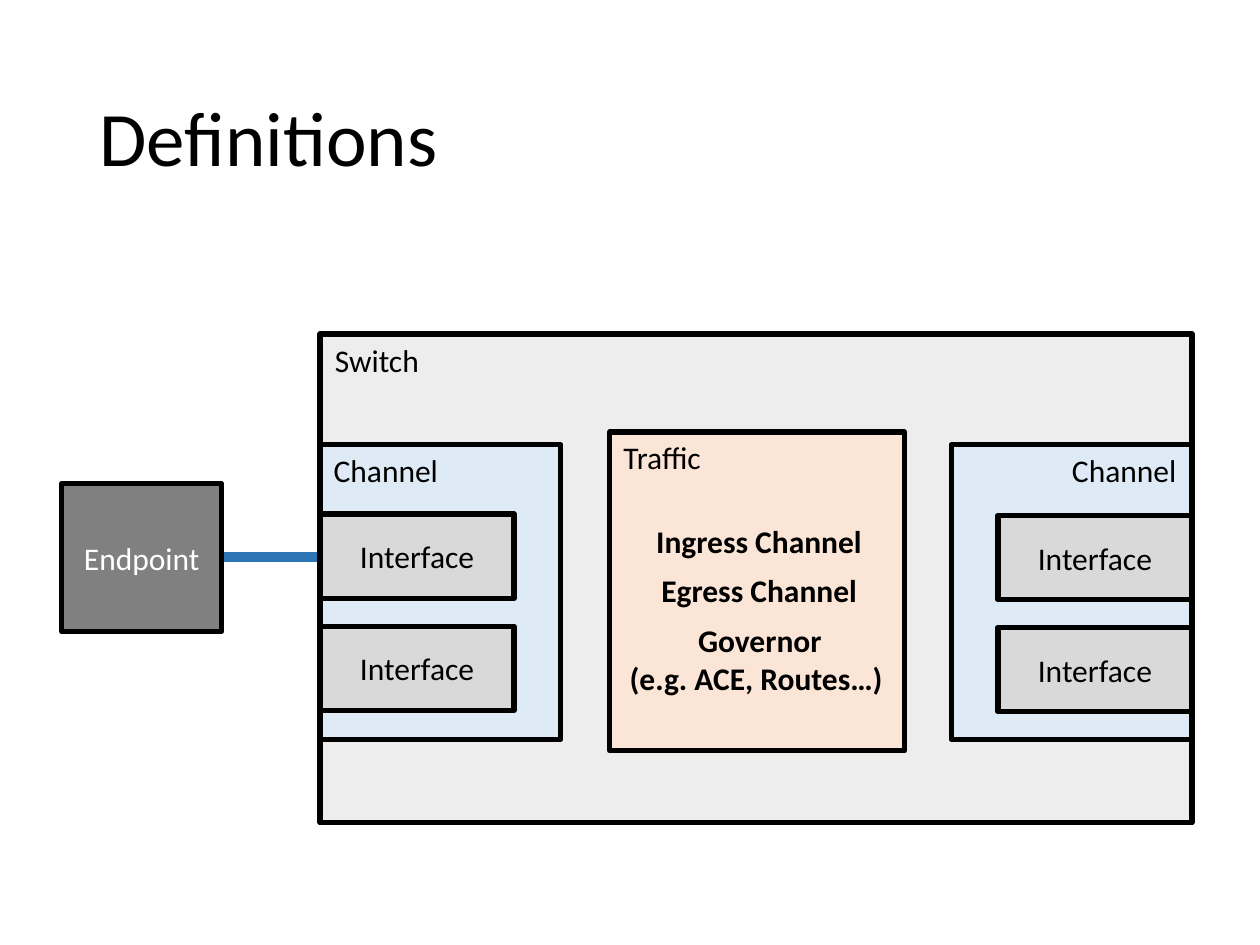
"""Build the slide that defines the parts of a switch."""
from dataclasses import dataclass

from lxml.etree import SubElement
from pptx import Presentation
from pptx.dml.color import RGBColor as RGB
from pptx.enum.shapes import MSO_CONNECTOR as Link, MSO_SHAPE as Kind
from pptx.enum.text import MSO_ANCHOR as Anchor, MSO_AUTO_SIZE as Auto, PP_ALIGN as Align
from pptx.oxml.ns import qn
from pptx.util import Inches, Pt

INK = {
    "black": "000000", "white": "FFFFFF", "link": "2E75B6", "switch": "EDEDED",
    "channel": "DEEBF7", "port": "D9D9D9", "traffic": "FBE5D6", "end": "808080",
}


@dataclass
class Box:
    left: float
    top: float
    width: float
    height: float
    fill: str
    text: str = ""
    ink: str = "black"


@dataclass
class Label:
    left: float
    top: float
    width: float
    text: str
    bold: bool = False
    height: float = 0.4
    align: Align = Align.LEFT


def tint(name: str) -> RGB:
    return RGB.from_string(INK[name])


def style(frame, text: str, ink: str, align: Align, size: int = 18, bold: bool = False) -> None:
    frame.text = text
    for para in frame.paragraphs:
        para.alignment = align
        para.font.name = "Calibri"
        para.font.size = Pt(size)
        para.font.bold = bold
        para.font.color.rgb = tint(ink)


def draw_box(shapes, box: Box) -> None:
    rect = shapes.add_shape(Kind.RECTANGLE, Inches(box.left), Inches(box.top),
                            Inches(box.width), Inches(box.height))
    rect.shadow.inherit = False
    rect.fill.solid()
    rect.fill.fore_color.rgb = tint(box.fill)
    rect.line.color.rgb = tint("black")
    rect.line.width = Pt(3)
    if box.text:
        rect.text_frame.vertical_anchor = Anchor.MIDDLE
        style(rect.text_frame, box.text, box.ink, Align.CENTER)


def draw_label(shapes, label: Label) -> None:
    area = shapes.add_textbox(Inches(label.left), Inches(label.top),
                              Inches(label.width), Inches(label.height))
    frame = area.text_frame
    frame.word_wrap = False
    frame.auto_size = Auto.SHAPE_TO_FIT_TEXT
    style(frame, label.text, "black", label.align, bold=label.bold)


def draw_channel(shapes, left: float, port: float, top: float, name: float) -> None:
    group = shapes.add_group_shape().shapes
    draw_box(group, Box(left, 3.53, 1.91, 2.34, "channel"))
    for row in range(2):
        draw_box(group, Box(port, top + row * 0.89, 1.54, 0.67, "port", "Interface"))
    draw_label(group, Label(name, 3.53, 1.04, "Channel"))


def draw_traffic(shapes) -> None:
    group = shapes.add_group_shape().shapes
    draw_box(group, Box(4.84, 3.43, 2.34, 2.53, "traffic"))
    for label in (
        Label(4.85, 3.43, 0.83, "Traffic"),
        Label(5.11, 4.09, 1.84, "Ingress Channel", True),
        Label(5.15, 4.48, 1.76, "Egress Channel", True),
        Label(4.89, 4.88, 2.28, "Governor\n(e.g. ACE, Routes…) ", True, 0.71, Align.CENTER),
    ):
        draw_label(group, label)


def draw_title(title) -> None:
    title.left, title.top = Inches(0.69), Inches(0.4)
    title.width, title.height = Inches(8.62), Inches(1.45)
    title.text_frame.vertical_anchor = Anchor.MIDDLE
    style(title.text_frame, "Definitions", "black", Align.LEFT, 44)
    title.text_frame.paragraphs[0].line_spacing = 0.9


def draw_link(shapes) -> None:
    link = shapes.add_connector(Link.STRAIGHT, Inches(1.76), Inches(4.42),
                                Inches(2.54), Inches(4.42))
    link.line.color.rgb = tint("link")
    link.line.width = Pt(6)
    SubElement(link.element.spPr, qn("a:effectLst"))


def main() -> None:
    deck = Presentation()
    deck.slide_width, deck.slide_height = Inches(10), Inches(7.5)
    shapes = deck.slides.add_slide(deck.slide_layouts[5]).shapes
    draw_title(shapes.title)
    draw_link(shapes)
    draw_box(shapes, Box(2.54, 2.65, 6.92, 3.88, "switch"))
    draw_channel(shapes, 2.54, 2.54, 4.08, 2.55)
    draw_channel(shapes, 7.55, 7.92, 4.09, 8.41)
    draw_traffic(shapes)
    draw_label(shapes, Label(2.56, 2.66, 0.88, "Switch"))
    draw_box(shapes, Box(0.49, 3.84, 1.27, 1.17, "end", "Endpoint", "white"))
    deck.save("out.pptx")


main()
